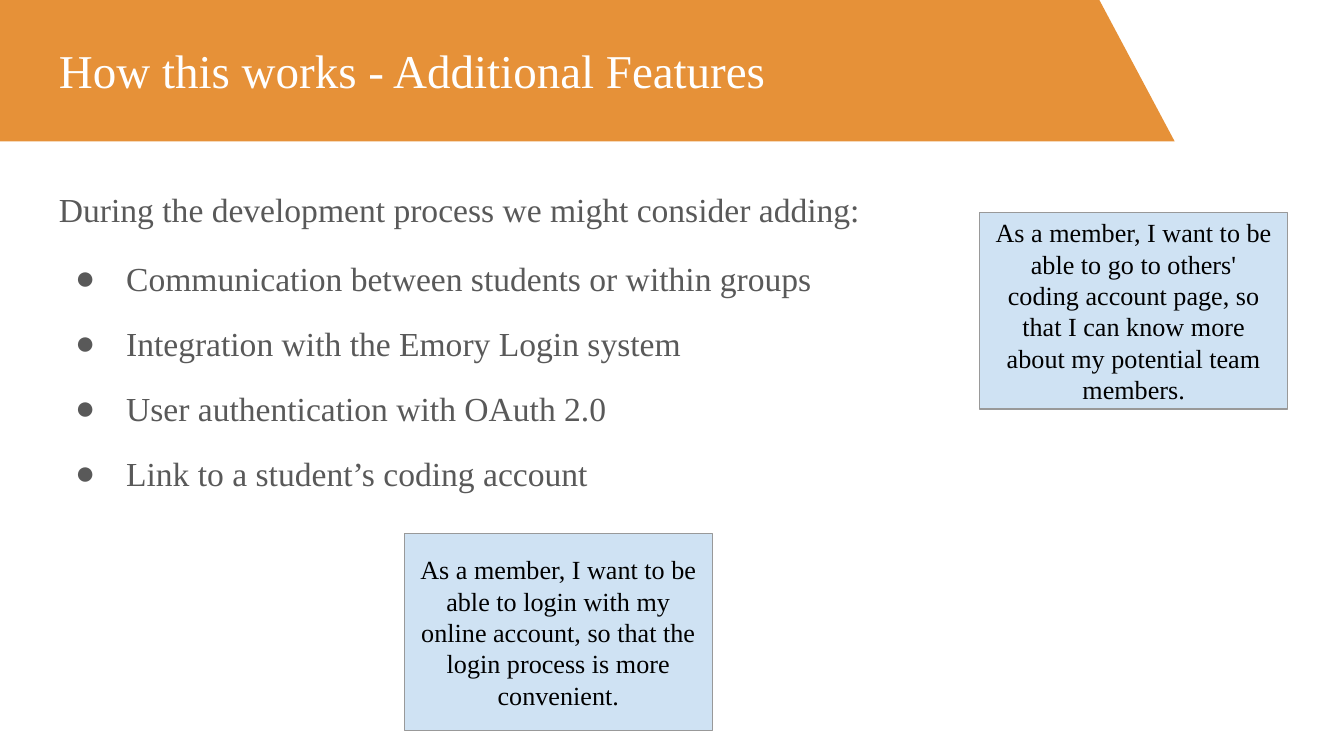
"""Build the slide on additional features with its two user stories."""
from lxml.etree import SubElement
from pptx import Presentation
from pptx.dml.color import RGBColor as Rgb
from pptx.enum.shapes import MSO_SHAPE as Shape
from pptx.enum.text import MSO_ANCHOR as Anchor, PP_ALIGN as Align
from pptx.oxml.ns import qn
from pptx.util import Inches, Pt

TITLE = "How this works - Additional Features"
INTRO = "During the development process we might consider adding:"
FEATURES = [
    "Communication between students or within groups",
    "Integration with the Emory Login system",
    "User authentication with OAuth 2.0",
    "Link to a student’s coding account",
]
STORIES = [
    (0.729, 0.281, "As a member, I want to be able to go to others' coding account page, "
                   "so that I can know more about my potential team members."),
    (0.301, 0.706, "As a member, I want to be able to login with my online account, "
                   "so that the login process is more convenient."),
]

COLORS = {"banner": "E69138", "title": "FFFFFF", "body": "595959",
          "card": "CFE2F3", "border": "999999", "story": "000000"}
SIZES = {"title": 25.2, "body": 18, "story": 14}
FONT = "Times New Roman"
WIDTH, HEIGHT = Inches(10), Inches(5.625)
BANNER = [(0, 0), (0.818, 0), (0.874, 0.187), (0, 0.187)]
TITLE_AREA = (0.034, 0.037, 0.932, 0.112)
BODY_AREA = (0.034, 0.224, 0.932, 0.665)
CARD = (0.229, 0.26)


def place(left, top, width, height):
    return (int(left * WIDTH), int(top * HEIGHT), int(width * WIDTH), int(height * HEIGHT))


def color(name):
    return Rgb.from_string(COLORS[name])


def paint(shape, fill):
    shape.shadow.inherit = False
    shape.fill.solid()
    shape.fill.fore_color.rgb = color(fill)


def set_frame(shape, anchor):
    frame = shape.text_frame
    margins = {f"margin_{side}": Inches(0.1) for side in ("left", "top", "right", "bottom")}
    for name, value in {"word_wrap": True, "vertical_anchor": anchor, **margins}.items():
        setattr(frame, name, value)
    return frame


def write(para, text, role, **formats):
    for name, value in formats.items():
        setattr(para, name, value)
    span = para.add_run()
    span.text = text
    for name, value in {"name": FONT, "size": Pt(SIZES[role])}.items():
        setattr(span.font, name, value)
    span.font.color.rgb = color(role)


def add_bullet(para):
    props = para._p.get_or_add_pPr()
    props.set("marL", str(Inches(0.5)))
    props.set("indent", str(Inches(-0.38)))
    SubElement(SubElement(props, qn("a:buClr")), qn("a:srgbClr"), val=COLORS["body"])
    SubElement(props, qn("a:buFont"), typeface=FONT)
    SubElement(props, qn("a:buChar"), char="●")


def add_banner(page):
    start, *rest = [(int(x * WIDTH), int(y * HEIGHT)) for x, y in BANNER]
    builder = page.shapes.build_freeform(*start)
    builder.add_line_segments(rest, close=True)
    banner = builder.convert_to_shape()
    paint(banner, "banner")
    banner.line.fill.background()


def add_body(page):
    frame = set_frame(page.shapes.add_textbox(*place(*BODY_AREA)), Anchor.TOP)
    write(frame.paragraphs[0], INTRO, "body", line_spacing=1.15)
    for index, feature in enumerate(FEATURES):
        para = frame.add_paragraph()
        add_bullet(para)
        write(para, feature, "body", line_spacing=1.15, space_before=Pt(10 if index else 12))


def add_story(page, left, top, text):
    box = page.shapes.add_shape(Shape.RECTANGLE, *place(left, top, *CARD))
    paint(box, "card")
    box.line.color.rgb = color("border")
    box.line.width = Pt(0.75)
    write(set_frame(box, Anchor.MIDDLE).paragraphs[0], text, "story", alignment=Align.CENTER)


def main():
    deck = Presentation()
    deck.slide_width, deck.slide_height = WIDTH, HEIGHT
    page = deck.slides.add_slide(deck.slide_layouts[6])
    add_banner(page)
    title = page.shapes.add_textbox(*place(*TITLE_AREA))
    write(set_frame(title, Anchor.TOP).paragraphs[0], TITLE, "title")
    add_body(page)
    for story in STORIES:
        add_story(page, *story)
    deck.save("out.pptx")


if __name__ == "__main__":
    main()
